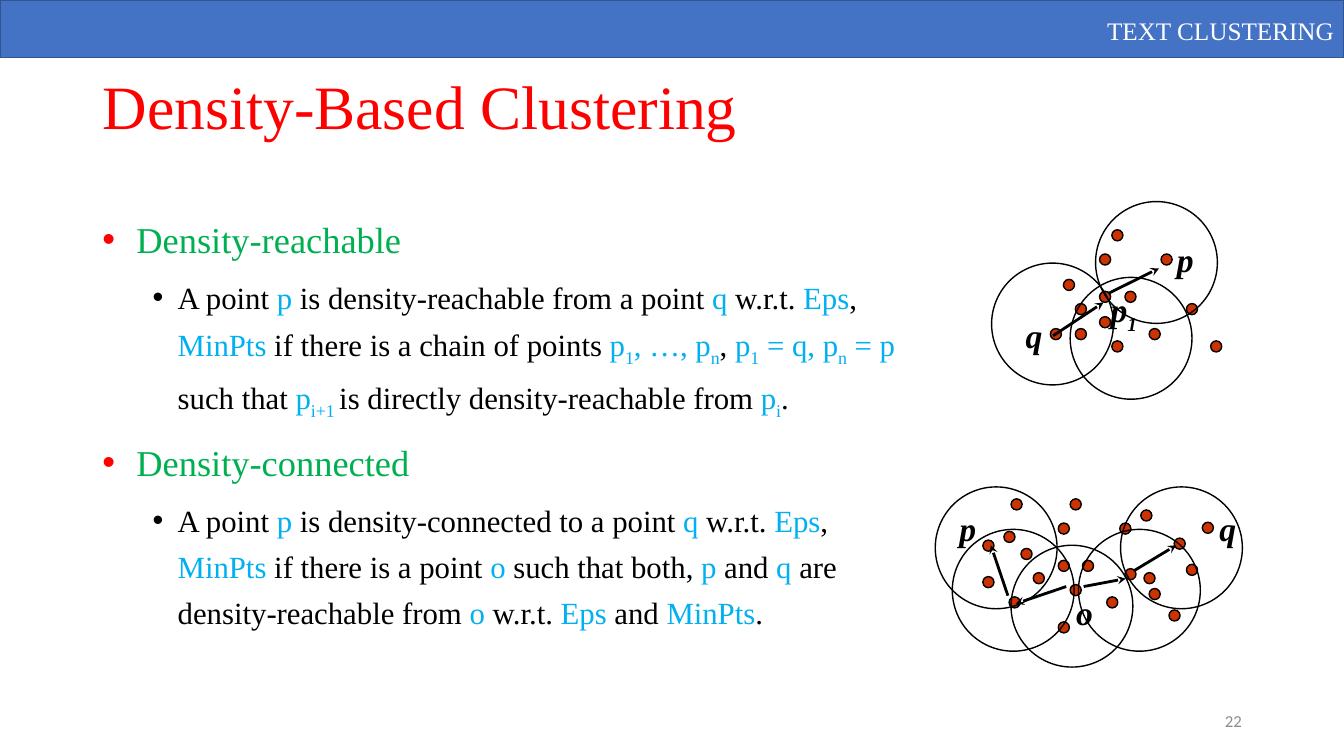
"""Build the density-based clustering slide."""
from lxml.etree import SubElement
from pptx import Presentation
from pptx.dml.color import RGBColor
from pptx.enum.shapes import MSO_CONNECTOR, MSO_SHAPE
from pptx.enum.text import MSO_ANCHOR, PP_ALIGN
from pptx.oxml.ns import qn
from pptx.util import Cm, Pt

RED = RGBColor(0xFF, 0x00, 0x00)
GREEN = RGBColor(0x00, 0xB0, 0x50)
BLUE = RGBColor(0x00, 0xB0, 0xF0)
BLACK = RGBColor(0x00, 0x00, 0x00)
WHITE = RGBColor(0xFF, 0xFF, 0xFF)
GREY = RGBColor(0x8C, 0x8C, 0x8C)
BAND = RGBColor(0x44, 0x72, 0xC4)
BAND_EDGE = RGBColor(0x32, 0x54, 0x91)
DOT = RGBColor(0xCC, 0x33, 0x00)
SERIF = "Times New Roman"

TITLE = "Density-Based Clustering"
HEADER = "TEXT CLUSTERING"
NUMBER = "22"

# Bars switch the highlight colour, tildes switch subscript.
BODY = [
    (0, "Density-reachable"),
    (1, "A point |p| is density-reachable from a point |q| w.r.t. |Eps|, |MinPts| "
        "if there is a chain of points |p~1~, …, p~n~|, |p~1~ = q, p~n~ = p |"
        "such that |p~i+1 ~|is directly density-reachable from |p~i~|."),
    (0, "Density-connected"),
    (1, "A point |p| is density-connected to a point |q| w.r.t. |Eps|, |MinPts| "
        "if there is a point |o| such that both, |p| and |q| are "
        "density-reachable from |o| w.r.t. |Eps| and |MinPts|."),
]
LEVELS = [
    dict(size=26, color=GREEN, bullet=RED, margin=0.86, hang=0.86),
    dict(size=22, color=BLACK, bullet=BLACK, margin=1.9, hang=0.63),
]

DOT_SIZE, CIRCLE_SIZE = 0.28, 3.07
REACHABLE = dict(
    dots=[(26.8, 7.04), (27.71, 7.34), (27.71, 6.4), (26.47, 8.28), (27.1, 7.65),
          (27.1, 8.28), (28.02, 8.59), (28.02, 5.79), (29.9, 7.65), (29.26, 6.4),
          (27.71, 7.98), (28.35, 7.34), (28.96, 8.28), (30.51, 8.59)],
    circles=[(26.97, 6.99), (24.99, 6.63), (27.61, 5.08)],
    labels=[("p", 29.41, 5.89, 1.07), ("q", 25.6, 7.8, 1.07), ("p~1~", 27.74, 7.16, 1.7)],
    arrows=[(27.94, 7.39, 29.21, 6.76), (26.54, 8.46, 27.81, 7.62)],
)
CONNECTED = dict(
    dots=[(25.73, 13.82), (26.67, 14.12), (26.67, 13.18), (25.43, 15.04), (26.04, 14.43),
          (26.67, 15.67), (26.97, 14.73), (26.97, 12.57), (28.83, 14.43), (28.22, 13.18),
          (24.77, 14.53), (27.28, 14.12), (27.89, 15.04), (29.46, 15.37), (29.9, 14.22),
          (28.35, 14.33), (28.96, 14.83), (30.3, 13.16), (28.75, 12.85), (29.59, 13.56),
          (25.3, 13.39), (24.77, 13.61), (25.48, 12.57)],
    circles=[(24, 13.34), (25.48, 13.74), (27.18, 13.34), (28.24, 12.27), (23.57, 12.27)],
    labels=[("p", 23.93, 12.67, 1.07), ("q", 30.48, 12.67, 1.07), ("o", 26.87, 14.78, 1.07)],
    arrows=[(26.87, 14.78, 25.6, 15.21), (27.31, 14.78, 28.37, 14.58),
            (25.4, 15.01, 24.97, 13.74), (28.58, 14.38, 29.64, 13.74)],
)


def add_runs(p, text, color, highlight=BLUE, **fmt):
    """Add the runs of a marked-up text to a paragraph."""
    for i, part in enumerate(text.split("|")):
        for j, piece in enumerate(part.split("~")):
            if not piece:
                continue
            r = p.add_run()
            r.text = piece
            for name, value in fmt.items():
                setattr(r.font, name, value)
            r.font.color.rgb = highlight if i % 2 else color
            if j % 2:
                r.font._element.set("baseline", "-25000")


def add_text(shapes, box, text, color, align=PP_ALIGN.LEFT, anchor=MSO_ANCHOR.TOP, **fmt):
    """Add a one-line text box."""
    tf = shapes.add_textbox(*map(Cm, box)).text_frame
    tf.word_wrap, tf.vertical_anchor = True, anchor
    p = tf.paragraphs[0]
    p.alignment = align
    add_runs(p, text, color, **fmt)


def add_preset(shapes, kind, box, fill=None, line=BLACK):
    """Add a preset shape with a thin outline."""
    sp = shapes.add_shape(kind, *map(Cm, box))
    sp.shadow.inherit = False
    if fill is None:
        sp.fill.background()
    else:
        sp.fill.solid()
        sp.fill.fore_color.rgb = fill
    sp.line.color.rgb = line
    sp.line.width = Pt(1)


def add_arrow(shapes, ends):
    """Add a straight arrow with a stealth head."""
    cxn = shapes.add_connector(MSO_CONNECTOR.STRAIGHT, *map(Cm, ends))
    cxn.line.color.rgb = BLACK
    cxn.line.width = Pt(2)
    SubElement(cxn.line._get_or_add_ln(), qn("a:tailEnd"), type="stealth")
    SubElement(cxn._element.spPr, qn("a:effectLst"))


def add_diagram(slide, diagram):
    """Add one grouped diagram of points and neighbourhoods."""
    shapes = slide.shapes.add_group_shape().shapes
    for key, size, fill in (("dots", DOT_SIZE, DOT), ("circles", CIRCLE_SIZE, None)):
        for x, y in diagram[key]:
            add_preset(shapes, MSO_SHAPE.OVAL, (x, y, size, size), fill)
    for text, x, y, width in diagram["labels"]:
        add_text(shapes, (x, y, width, 1.27), text, BLACK,
                 name=SERIF, size=Pt(24), bold=True, italic=True)
    for ends in diagram["arrows"]:
        add_arrow(shapes, ends)


def add_body(slide):
    """Add the two-level bullet list."""
    tf = slide.shapes.add_textbox(*map(Cm, (2.33, 5.08, 20.53, 12.09))).text_frame
    tf.word_wrap = True
    for i, (level, text) in enumerate(BODY):
        style = LEVELS[level]
        p = tf.add_paragraph() if i else tf.paragraphs[0]
        p.level, p.line_spacing = level, 1.25
        if i:
            p.space_before = Pt(6)
        pPr = p._p.get_or_add_pPr()
        pPr.set("marL", str(Cm(style["margin"])))
        pPr.set("indent", str(-Cm(style["hang"])))
        clr = SubElement(pPr, qn("a:buClr"))
        SubElement(clr, qn("a:srgbClr"), val=str(style["bullet"]))
        SubElement(pPr, qn("a:buFont"), typeface="Arial")
        SubElement(pPr, qn("a:buChar"), char="•")
        add_runs(p, text, style["color"], name=SERIF, size=Pt(style["size"]))


def main():
    """Build and save the slide."""
    prs = Presentation()
    prs.slide_width, prs.slide_height = Cm(33.87), Cm(19.05)
    slide = prs.slides.add_slide(prs.slide_layouts[5])
    add_preset(slide.shapes, MSO_SHAPE.RECTANGLE, (0, 0, 33.87, 1.45), BAND, BAND_EDGE)

    title = slide.shapes.title
    title.left, title.top, title.width, title.height = map(Cm, (2.33, 1.6, 29.21, 2.34))
    title.text_frame.vertical_anchor = MSO_ANCHOR.MIDDLE
    p = title.text_frame.paragraphs[0]
    p.alignment, p.line_spacing = PP_ALIGN.LEFT, 0.9
    add_runs(p, TITLE, RED, name=SERIF, size=Pt(44))

    add_body(slide)
    for diagram in (REACHABLE, CONNECTED):
        add_diagram(slide, diagram)
    add_text(slide.shapes, (23.93, 17.65, 7.62, 1.02), NUMBER, GREY, PP_ALIGN.RIGHT,
             MSO_ANCHOR.MIDDLE, name="Calibri", size=Pt(12))
    add_text(slide.shapes, (27.57, 0.25, 6.3, 1.02), HEADER, WHITE, PP_ALIGN.RIGHT,
             name=SERIF, size=Pt(18))
    prs.save("out.pptx")


if __name__ == "__main__":
    main()
